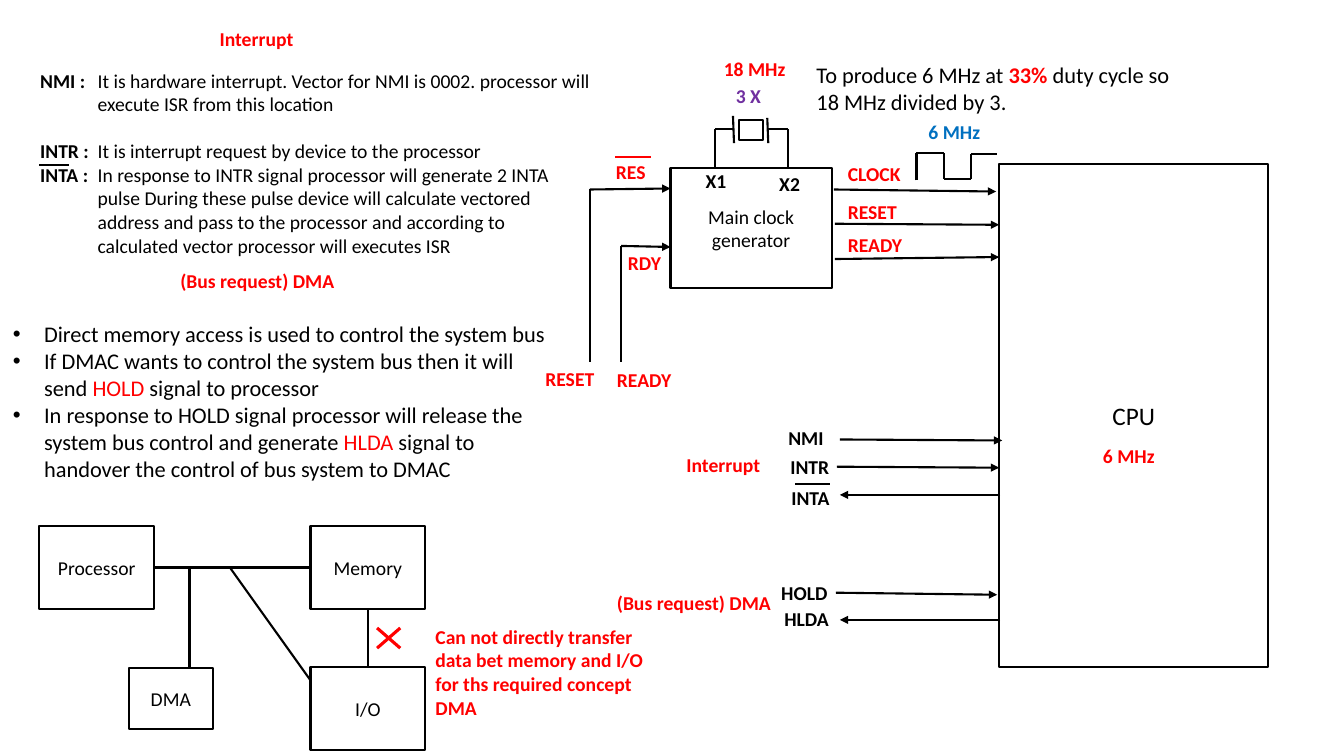
from dataclasses import dataclass
from itertools import pairwise
from typing import Any

from lxml.etree import SubElement
from pptx import Presentation
from pptx.dml.color import RGBColor
from pptx.enum.shapes import MSO_CONNECTOR, MSO_SHAPE
from pptx.enum.text import MSO_ANCHOR, MSO_AUTO_SIZE, PP_ALIGN
from pptx.oxml.ns import qn
from pptx.util import Pt

SCALE = 9144  # EMU in one px, 100 px to the inch
BLACK, RED, PURPLE, BLUE = "000000", "FF0000", "7030A0", "0070C0"
TOP, LEFT, BOTTOM, RIGHT = range(4)


def px(length):
    return int(length * SCALE)


def color(value):
    return RGBColor.from_string(value)


def set_format(target, **values):
    for name, value in values.items():
        setattr(target, name, value)


def add_run(paragraph, text, size, colour=BLACK, bold=False):
    run = paragraph.add_run()
    run.text = text
    set_format(run.font, name="Calibri", size=Pt(size), bold=bold)
    run.font.color.rgb = color(colour)


def set_indent(paragraph, left, first, bullet=None):
    properties = paragraph._p.get_or_add_pPr()
    properties.set("marL", str(px(left)))
    properties.set("indent", str(px(first)))
    if bullet:
        bullet_color = SubElement(properties, qn("a:buClr"))
        SubElement(bullet_color, qn("a:srgbClr"), val=BLACK)
        SubElement(properties, qn("a:buFont"), typeface="Arial")
        SubElement(properties, qn("a:buChar"), char=bullet)


@dataclass
class Region:
    """A part of the slide; its contents are placed from its left top corner."""
    slide: Any
    left: int
    top: int

    def place(self, x, y):
        return px(self.left + x), px(self.top + y)

    def box(self, x, y, width, height, text="", size=14):
        shape = self.slide.shapes.add_shape(
            MSO_SHAPE.RECTANGLE, *self.place(x, y), px(width), px(height))
        shape.shadow.inherit = False
        shape.fill.background()
        shape.line.color.rgb = color(BLACK)
        shape.line.width = Pt(1.5)
        if text:
            set_format(shape.text_frame, word_wrap=True, vertical_anchor=MSO_ANCHOR.MIDDLE)
            paragraph = shape.text_frame.paragraphs[0]
            paragraph.alignment = PP_ALIGN.CENTER
            add_run(paragraph, text, size)
        return shape

    def line(self, start, end, arrow=False, colour=BLACK, width=1.5):
        connector = self.slide.shapes.add_connector(
            MSO_CONNECTOR.STRAIGHT, *self.place(*start), *self.place(*end))
        connector.line.color.rgb = color(colour)
        connector.line.width = Pt(width)
        if arrow:
            SubElement(connector.line._get_or_add_ln(), qn("a:tailEnd"), type="triangle")
        SubElement(connector._element.spPr, qn("a:effectLst"))
        return connector

    def text(self, x, y, width, height, paragraphs, size=14):
        """Each paragraph is a list of runs: (text, colour, bold)."""
        shape = self.slide.shapes.add_textbox(*self.place(x, y), px(width), px(height))
        frame = shape.text_frame
        set_format(frame, word_wrap=True, auto_size=MSO_AUTO_SIZE.SHAPE_TO_FIT_TEXT)
        for number, runs in enumerate(paragraphs):
            paragraph = frame.add_paragraph() if number else frame.paragraphs[0]
            for run in runs:
                add_run(paragraph, run[0], size, *run[1:])
        return frame.paragraphs

    def label(self, text, x, y, colour=RED, width=72, height=33):
        self.text(x, y, width, height, [[(text, colour, True)]])


def draw_processor(region):
    region.box(391, 0, 267, 499, "CPU", 18)
    region.label("6 MHz", 484, 273, width=82)
    # Signals: name, label place, arrow from and to
    signals = [
        ("NMI", (172, 255), (233, 273), (394, 274)),
        ("INTR", (174, 283), (230, 300), (391, 301)),
        ("INTA", (175, 314), (392, 328), (233, 328)),
        ("HOLD", (165, 408), (229, 425), (389, 427)),
        ("HLDA", (168, 434), (392, 452), (233, 452)),
    ]
    for name, place, start, end in signals:
        region.label(name, *place, colour=BLACK)
        region.line(start, end, arrow=True)
    region.line((189, 317), (223, 317))
    # Signal groups
    region.label("Interrupt", 71, 281, width=144)
    region.label("(Bus request) DMA", 2, 418, width=205)


def draw_clock_generator(region):
    region.box(135, 117, 160, 119, "Main clock generator")
    # Crystal with its plates and leads
    region.box(203, 69, 24, 20)
    region.line((197, 65), (198, 92))
    region.line((231, 67), (232, 92))
    for plate, pin in ((197, 179), (232, 252)):
        region.line((plate, 78), (pin, 78))
        region.line((pin, 78), (pin, 117))
    # Inputs
    for x, y, end_y in ((55, 138, 137), (86, 194, 195)):
        region.line((x, y), (135, end_y), arrow=True)
        region.line((x, y), (x, 309))
    region.line((80, 106), (116, 106), colour=RED)
    # Labels
    for text, x, y, colour, width in [
        ("RES", 71, 104, RED, 72), ("RDY", 83, 194, RED, 72),
        ("RESET", 1, 309, RED, 72), ("READY", 72, 310, RED, 82),
        ("X1", 160, 113, BLACK, 65), ("X2", 233, 116, BLACK, 65),
        ("3 X", 190, 28, PURPLE, 72), ("18 MHz", 178, 2, RED, 82),
    ]:
        region.label(text, x, y, colour, width)


def draw_clock_outputs(region):
    region.text(0, 0, 416, 116, [
        [("To produce 6 MHz at ",), ("33%", RED, True), (" duty cycle so",)],
        [("18 MHz divided by 3.",)],
    ], 16)
    # Square wave
    region.label("6 MHz", 111, 58, BLUE, 82)
    wave = [(109, 123), (109, 96), (136, 96), (136, 122), (163, 122), (163, 97), (189, 97)]
    for start, end in pairwise(wave):
        region.line(start, end)
    # Signals to the processor
    for name, y, width, start, end in [
        ("CLOCK", 100, 89, (27, 132), (188, 134)),
        ("RESET", 137, 72, (28, 166), (191, 167)),
        ("READY", 170, 82, (28, 201), (191, 199)),
    ]:
        region.label(name, 31, y, width=width)
        region.line(start, end, arrow=True)


def draw_interrupt_notes(region):
    region.label("Interrupt", 178, 0, width=144)
    notes = [
        ("NMI :", ["It is hardware interrupt. Vector for NMI is 0002. processor will",
                   "execute ISR from this location"]),
        ("INTR :", ["It is interrupt request by device to the processor"]),
        ("INTA :", ["In response to INTR signal processor will generate 2 INTA",
                    "pulse During these pulse device will calculate vectored",
                    "address and pass to the processor and according to",
                    "calculated vector processor will executes ISR"]),
    ]
    lines = []
    for term, (first, *others) in notes:
        lines.append([(term + "\t", BLACK, True), (first,)])
        lines += [[(other,)] for other in others]
    paragraphs = region.text(0, 41, 574, 313, lines)
    for paragraph, runs in zip(paragraphs, lines):
        set_indent(paragraph, 57, -57 if len(runs) > 1 else 0)
    paragraphs[2].space_before = Pt(17)
    region.line((9, 142), (38, 142))
    region.label("(Bus request) DMA", 139, 240, width=205)


def draw_dma_notes(region):
    paragraphs = region.text(0, 0, 564, 249, [
        [("Direct memory access is used to control the system bus",)],
        [("If DMAC wants to control the system bus then it will send ",),
         ("HOLD", RED), (" signal to processor",)],
        [("In response to HOLD signal processor will release the system bus "
          "control and generate ",),
         ("HLDA", RED), (" signal to handover the control of bus system to DMAC",)],
    ], 16)
    for paragraph in paragraphs:
        set_indent(paragraph, 31, -31, "•")


def draw_dma_diagram(region):
    processor = region.box(0, 0, 114, 82, "Processor")
    memory = region.box(269, 0, 114, 82, "Memory")
    devices = region.box(269, 140, 114, 82, "I/O")
    region.box(89, 141, 83, 60, "DMA")
    # Bus lines
    for start, start_side, end, end_side in [
        (processor, RIGHT, memory, LEFT), (memory, BOTTOM, devices, TOP),
    ]:
        connector = region.line((0, 0), (0, 0))
        connector.begin_connect(start, start_side)
        connector.end_connect(end, end_side)
    region.line((189, 41), (269, 153))
    region.line((149, 41), (149, 140))
    # Cross over the forbidden path
    for start_y, end_y in ((101, 121), (121, 101)):
        region.line((335, start_y), (358, end_y), colour=RED, width=2.25)
    region.label("Can not directly transfer data bet memory and I/O "
                 "for ths required concept DMA", 383, 93, width=243, height=126)


def main():
    presentation = Presentation()
    set_format(presentation, slide_width=px(1333), slide_height=px(750))
    slide = presentation.slides.add_slide(presentation.slide_layouts[6])
    for draw, left, top in [
        (draw_processor, 600, 163), (draw_clock_generator, 530, 50),
        (draw_clock_outputs, 800, 56), (draw_interrupt_notes, 30, 22),
        (draw_dma_notes, 3, 313), (draw_dma_diagram, 39, 522),
    ]:
        draw(Region(slide, left, top))
    presentation.save("out.pptx")


if __name__ == "__main__":
    main()
